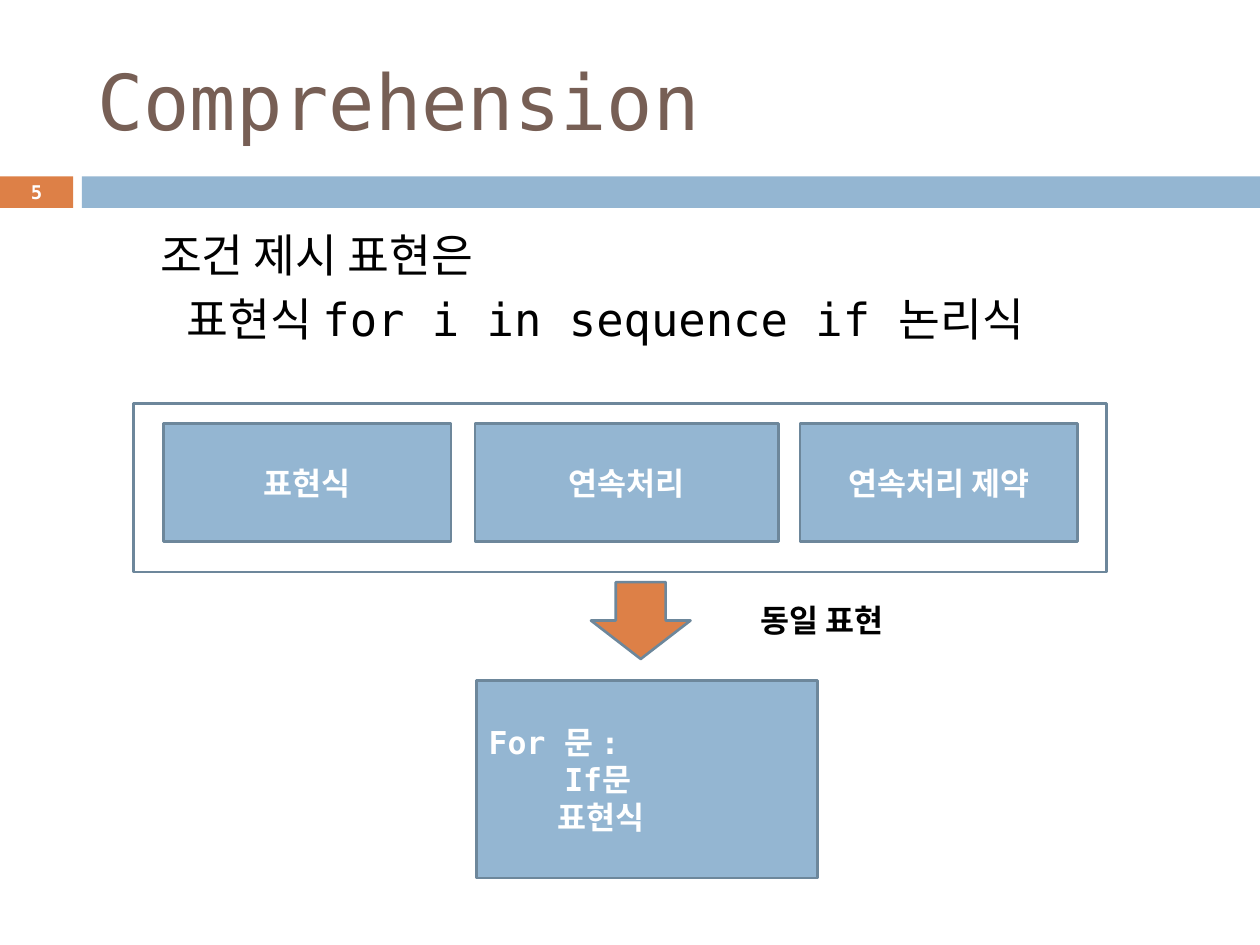
from lxml.etree import SubElement
from pptx import Presentation
from pptx.dml.color import RGBColor
from pptx.enum.shapes import MSO_SHAPE
from pptx.enum.text import MSO_ANCHOR, MSO_AUTO_SIZE, PP_ALIGN
from pptx.oxml.ns import qn
from pptx.util import Inches, Pt

WIDTH, HEIGHT = Inches(10), Inches(7.5)
FONT = "DejaVu Sans Mono"
BLUE, ORANGE, EDGE = "94B6D2", "DD8047", "6D879B"
BROWN, WHITE, BLACK = "775F55", "FFFFFF", "000000"


def color(value):
    return RGBColor.from_string(value)


def area(left, top, width, height):
    return (round(WIDTH * left / 100), round(HEIGHT * top / 100),
            round(WIDTH * width / 100), round(HEIGHT * height / 100))


def move(holder, share):
    holder.left, holder.top, holder.width, holder.height = area(*share)


def write(holder, lines, size, ink, bold=False, align=PP_ALIGN.LEFT,
          anchor=MSO_ANCHOR.MIDDLE, fit=MSO_AUTO_SIZE.NONE):
    frame = holder.text_frame
    frame.text = "\n".join(lines)
    frame.word_wrap = True
    frame.auto_size = fit
    frame.vertical_anchor = anchor
    for paragraph in frame.paragraphs:
        paragraph.alignment = align
        for run in paragraph.runs:
            run.font.name = FONT
            run.font.size = Pt(size)
            run.font.bold = bold
            run.font.color.rgb = color(ink)
    return frame.paragraphs


def indent(paragraph, inches):
    properties = paragraph._p.get_or_add_pPr()
    properties.set("marL", str(Inches(inches)))
    properties.set("indent", "0")
    return properties


def add_figure(slide, share, fill=None, edge=None, preset=MSO_SHAPE.RECTANGLE):
    figure = slide.shapes.add_shape(preset, *area(*share))
    figure.shadow.inherit = False
    if fill:
        figure.fill.solid()
        figure.fill.fore_color.rgb = color(fill)
    else:
        figure.fill.background()
    if edge:
        figure.line.color.rgb = color(edge)
        figure.line.width = Pt(1.5)
    else:
        figure.line.fill.background()
    return figure


def add_label(slide, share, text, size, ink, **style):
    label = slide.shapes.add_textbox(*area(*share))
    write(label, [text], size, ink, bold=True, **style)


def add_heading(slide, text):
    move(slide.shapes.title, (6.7, 3.33, 89.2, 14.4))
    write(slide.shapes.title, [text], 44, BROWN)


def add_syntax(slide, lines, indents):
    syntax = slide.placeholders[1]
    move(syntax, (6.7, 23.33, 89.2, 19.33))
    paragraphs = write(syntax, lines, 26, BLACK, anchor=MSO_ANCHOR.TOP)
    for paragraph, inches in zip(paragraphs, indents):
        paragraph.level = 1
        paragraph.space_before = Pt(5.5)
        SubElement(indent(paragraph, inches), qn("a:buNone"))


def add_parts(slide):
    parts = [("표현식", 13, 22.8), ("연속처리", 37.7, 24.1), ("연속처리 제약", 63.5, 22)]
    for text, left, width in parts:
        part = add_figure(slide, (left, 44.8, width, 12.53), BLUE, EDGE)
        write(part, [text], 18, WHITE, bold=True, align=PP_ALIGN.CENTER)


def add_loop(slide):
    loop = add_figure(slide, (37.8, 72, 27.1, 20.93), BLUE, EDGE)
    paragraphs = write(loop, ["For 문 :", "If문", "표현식"], 18, WHITE, bold=True)
    for paragraph, inches in zip(paragraphs, (0, 0.6, 0.55)):
        indent(paragraph, inches)


def main():
    deck = Presentation()
    deck.slide_width, deck.slide_height = WIDTH, HEIGHT
    slide = deck.slides.add_slide(deck.slide_layouts[1])

    add_figure(slide, (0, 18.67, 5.8, 3.33), ORANGE)
    add_figure(slide, (6.5, 18.67, 93.5, 3.33), BLUE)
    add_heading(slide, "Comprehension")
    add_syntax(slide, ["조건 제시 표현은", "표현식 for i in sequence if 논리식"], (0.5, 0.71))
    add_parts(slide)
    add_loop(slide)
    add_figure(slide, (46.9, 61.6, 7.9, 8.13), ORANGE, EDGE, MSO_SHAPE.DOWN_ARROW)
    add_figure(slide, (10.6, 42.67, 77.2, 17.87), edge=EDGE)
    add_label(slide, (59.4, 62.93, 16.5, 5.33), "동일 표현", 18, BLACK,
              anchor=MSO_ANCHOR.TOP, fit=MSO_AUTO_SIZE.SHAPE_TO_FIT_TEXT)
    add_label(slide, (0, 18.53, 5.8, 3.6), "5", 10.8, WHITE, align=PP_ALIGN.CENTER)
    deck.save("out.pptx")


if __name__ == "__main__":
    main()
